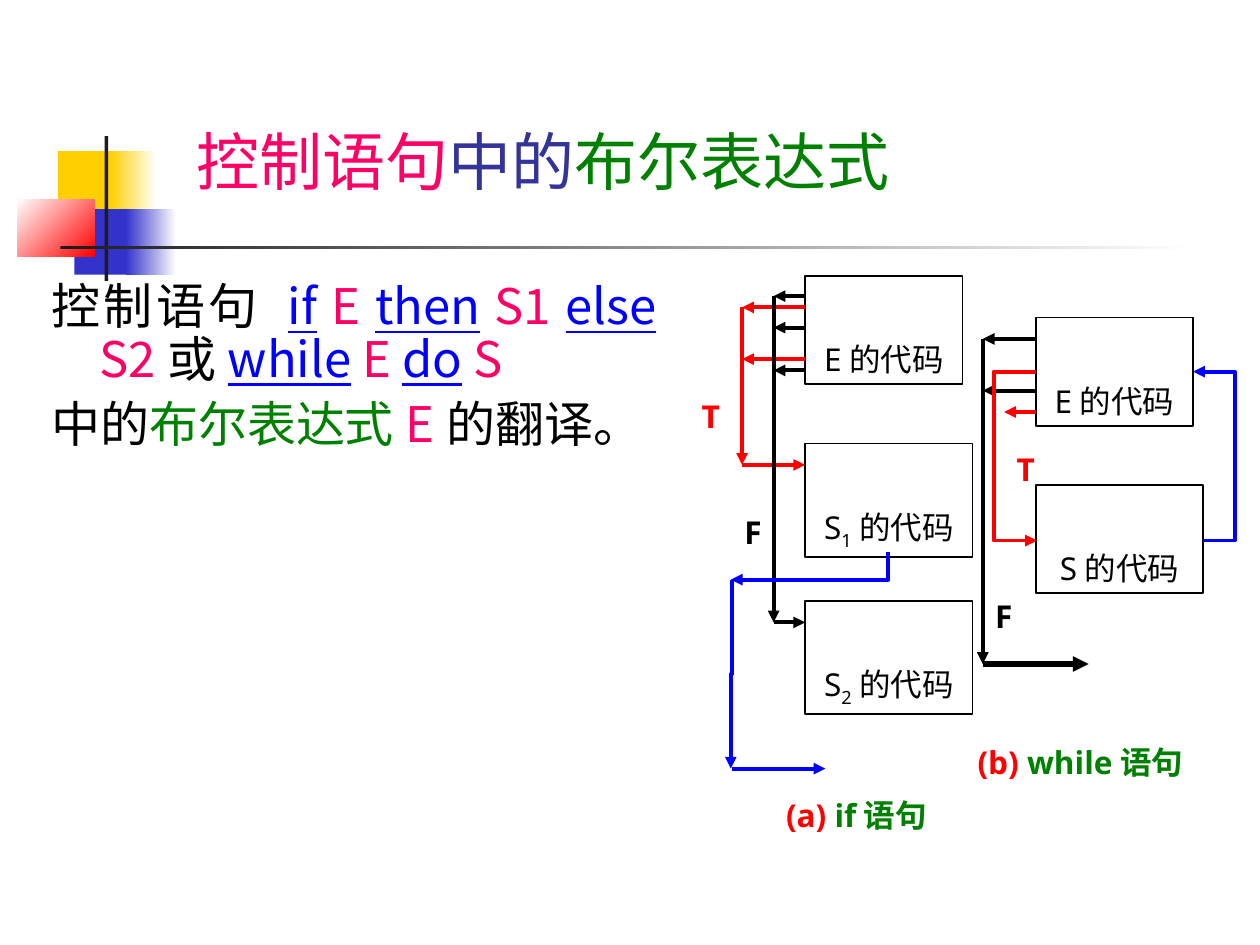
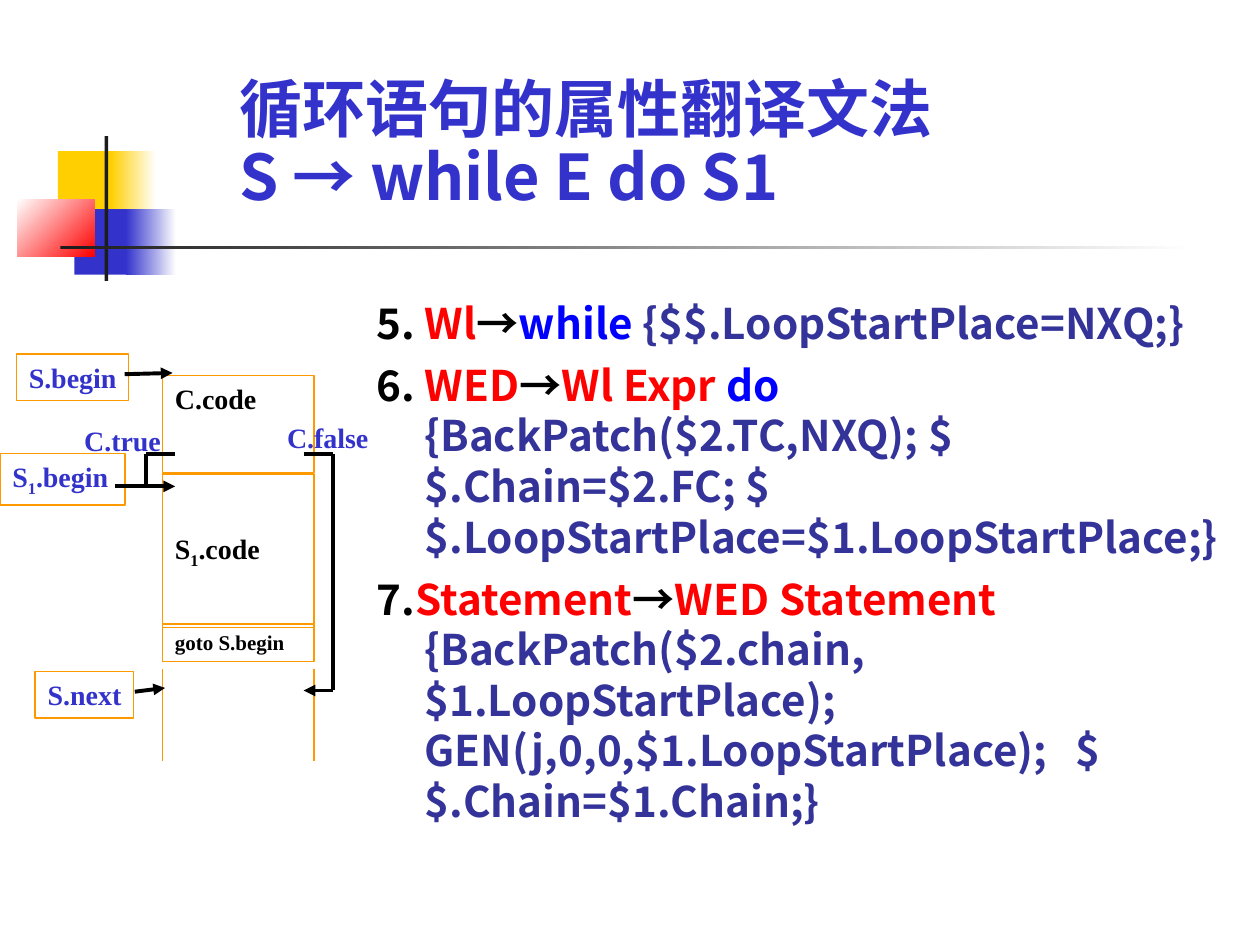
"""Build two slides on translating Boolean expressions and while loops."""
from dataclasses import dataclass

import pptx
import pptx.dml.color
import pptx.enum.shapes
import pptx.enum.text
import pptx.oxml.ns
import pptx.util
from lxml import etree

COLUMNS, ROWS = 10, 7.5
ALIGN = pptx.enum.text.PP_ALIGN
ANCHOR = pptx.enum.text.MSO_ANCHOR
CONNECTOR = pptx.enum.shapes.MSO_CONNECTOR
RECT = pptx.enum.shapes.MSO_SHAPE.RECTANGLE


@dataclass(frozen=True)
class Theme:
    black: str = "000000"
    white: str = "FFFFFF"
    ink: str = "1C1C1C"
    red: str = "FF0000"
    pink: str = "FF0066"
    green: str = "008000"
    blue: str = "0000FF"
    royal: str = "3333CC"
    navy: str = "333399"
    yellow: str = "FFCF01"
    orange: str = "FF9900"
    cjk: str = "Noto Sans CJK JP"
    sans: str = "Noto Sans"
    serif: str = "Times New Roman"
    hairline: float = 0.99
    stroke: float = 2.24
    heavy: float = 3


T = Theme()
STYLES = {
    "title": dict(font=T.cjk, size=36),
    "bold title": dict(font=T.cjk, size=36, bold=True, spacing=0.9),
    "body": dict(font=T.cjk, size=28, spacing=0.9, before=7, indent=0.38),
    "rules": dict(font=T.cjk, size=24.1, bold=True, spacing=1.0, before=6.5, indent=0.38),
    "code": dict(font=T.sans, size=18, align=ALIGN.CENTER),
    "label": dict(font=T.sans, size=18, bold=True),
    "attribute": dict(font=T.serif, size=16, bold=True),
    "small": dict(font=T.serif, size=12, bold=True),
}

BAND = [
    (0.46, 1.2, 0.48, 0.52, T.yellow, None, 0),
    (0.88, 1.2, 0.36, 0.52, T.yellow, T.white, 0),
    (0.59, 1.66, 0.46, 0.52, T.royal, None, 0),
    (1, 1.66, 0.4, 0.52, T.royal, T.white, 0),
    (0.14, 1.58, 0.61, 0.46, T.white, T.red, 315),
    (0.83, 1.08, 0.03, 1.15, T.ink, None, 0),
    (0.48, 1.95, 9, 0.03, T.ink, T.white, 0),
]

CONTROL_TITLE = [[("控制语句", T.pink), ("中的", T.navy), ("布尔表达式", T.green)]]
CONTROL_BODY = [
    [("控制语句 ", T.black), ("if", T.blue, "u"), (" ", T.black), ("E ", T.pink),
     ("then", T.blue, "u"), (" ", T.black), ("S1 ", T.pink), ("else", T.blue, "u"),
     (" ", T.black), ("S2", T.pink), ("或", T.black), ("while", T.blue, "u"),
     (" ", T.black), ("E ", T.pink), ("do", T.blue, "u"), (" ", T.black), ("S", T.pink)],
    [("中的", T.black), ("布尔表达式", T.green), ("E", T.pink), ("的翻译。", T.black)],
]
CODE_BOXES = [
    (6.39, 2.19, 1.25, 0.86, "E", ""),
    (6.39, 3.52, 1.33, 0.9, "S", "1"),
    (6.39, 4.77, 1.33, 0.9, "S", "2"),
    (8.22, 2.52, 1.25, 0.86, "E", ""),
    (8.22, 3.85, 1.33, 0.86, "S", ""),
]
JUMP_LABELS = [
    (5.47, 3.1, 0.33, [("T", T.red)]),
    (5.81, 4.02, 0.33, [("F", T.black)]),
    (7.97, 3.52, 0.33, [("T", T.red)]),
    (7.8, 4.69, 0.33, [("F", T.black)]),
    (6.14, 6.27, 1.41, [("(a) ", T.red), ("if语句", T.green)]),
    (7.66, 5.85, 1.98, [("(b) ", T.red), ("while语句", T.green)]),
]
JUMP_BUSES = [
    (T.red, 6.39, 5.89, [2.44, 2.85], 3.69, 6.39, T.stroke),
    (T.black, 6.39, 6.14, [2.35, 2.6, 2.94], 4.94, 6.39, T.stroke),
    (T.black, 8.22, 7.8, [2.69, 3.1], 5.27, 8.64, T.heavy),
]
SINGLE_JUMPS = [
    (T.blue, (5.81, 6.1), (6.55, 6.1)),
    (T.red, (8.22, 3.27), (7.97, 3.27)),
]
SIDE_ELBOWS = [
    (T.blue, (9.55, 4.29), (9.47, 2.95), 9.8),
    (T.red, (8.22, 2.95), (8.23, 4.29), 7.88),
]
DOWN_ELBOWS = [
    (T.blue, (7.05, 4.38), (5.8, 4.6), "bentConnector2"),
    (T.blue, (5.81, 4.6), (5.8, 6.1), "bentConnector3"),
]

LOOP_TITLE = [[("循环语句的属性翻译文法", T.royal), ("\v", T.royal),
               ("S → while E do S1 ", T.royal)]]
LOOP_RULES = [
    [("5. ", T.black), ("Wl", T.red), ("→", T.black), ("while ", T.blue),
     ("{$$.LoopStartPlace=NXQ;}", T.navy)],
    [("6. ", T.black), ("WED", T.red), ("→", T.black), ("Wl Expr ", T.red), ("do ", T.blue),
     ("{BackPatch($2.TC,NXQ); $$.Chain=$2.FC; $$.LoopStartPlace=$1.LoopStartPlace;}", T.navy)],
    [("7.", T.black), ("Statement", T.red), ("→", T.black), ("WED Statement ", T.red),
     ("{BackPatch($2.chain,$1.LoopStartPlace); GEN(j,0,0,$1.LoopStartPlace);   "
      "$$.Chain=$1.Chain;}", T.navy)],
]
LEFT, RIGHT, STUB = 1.29, 2.49, 0.1
LOOP_BLOCKS = [
    (2.98, 0.77, [("C.code", T.black)], "attribute", ANCHOR.TOP),
    (3.76, 1.22, [("S", T.black), ("1", T.black, "sub"), (".code", T.black)],
     "attribute", ANCHOR.MIDDLE),
    (4.95, 0.3, [("goto S.begin", T.black)], "small", ANCHOR.MIDDLE),
]
LOOP_LABELS = [
    (0.57, 3.31, 0.9, 0.37, [("C.true", T.royal)], None),
    (2.18, 3.29, 0.9, 0.37, [("C.false", T.royal)], None),
    (0, 3.6, 0.99, 0.41, [("S", T.royal), ("1", T.royal, "sub"), (".begin", T.royal)], T.orange),
    (0.28, 5.33, 0.78, 0.37, [("S.next", T.royal)], T.orange),
    (0.13, 2.81, 0.89, 0.37, [("S.begin", T.royal)], T.orange),
]
LOOP_LINES = [
    ((1.16, 3.6), (LEFT + STUB, 3.6), False),
    ((1.16, 3.6), (1.16, 3.86), False),
    ((0.91, 3.86), (LEFT + STUB, 3.86), True),
    ((2.41, 3.6), (2.64, 3.6), False),
    ((2.64, 3.6), (2.64, 5.48), False),
    ((2.64, 5.48), (2.41, 5.48), True),
    ((1.07, 5.49), (1.31, 5.46), True),
    ((0.99, 2.97), (1.37, 2.96), True),
]

prs = pptx.Presentation()
prs.slide_width, prs.slide_height = pptx.util.Inches(10), pptx.util.Inches(7.5)


def grid(x, y, w, h):
    dx, dy = prs.slide_width / COLUMNS, prs.slide_height / ROWS
    return [round(v) for v in (x * dx, y * dy, w * dx, h * dy)]


def rgb(value):
    return pptx.dml.color.RGBColor.from_string(value)


def sub(parent, tag, **attrs):
    return etree.SubElement(parent, pptx.oxml.ns.qn(tag), attrs)


def write(sp, paragraphs, style, anchor=ANCHOR.TOP, wrap=True):
    look = STYLES[style]
    tf = sp.text_frame
    tf.word_wrap, tf.vertical_anchor = wrap, anchor
    for i, runs in enumerate(paragraphs):
        p = tf.paragraphs[0] if i == 0 else tf.add_paragraph()
        p.alignment = look.get("align", ALIGN.LEFT)
        p.line_spacing = look.get("spacing")
        p.space_before = pptx.util.Pt(look.get("before", 0))
        p.font.name, p.font.size = look["font"], pptx.util.Pt(look["size"])
        p.font.bold = look.get("bold", False)
        pPr = p._p.get_or_add_pPr()
        east = look["font"] if look["font"] == T.serif else T.cjk
        sub(pPr.find(pptx.oxml.ns.qn("a:defRPr")), "a:ea", typeface=east)
        if "indent" in look:
            hang = pptx.util.Inches(look["indent"])
            pPr.set("marL", str(hang))
            pPr.set("indent", str(-hang))
        for text, color, *marks in runs:
            if text == "\v":
                p.add_line_break()
                continue
            r = p.add_run()
            r.text = text
            r.font.color.rgb = rgb(color)
            if "u" in marks:
                r.font.underline = True
            if "sub" in marks:
                r.font._element.set("baseline", "-25000")
    return tf


def text_box(s, at, paragraphs, style, **options):
    return write(s.shapes.add_textbox(*grid(*at)), paragraphs, style, **options)


def box(s, at, line=None):
    sp = s.shapes.add_shape(RECT, *grid(*at))
    sp.shadow.inherit = False
    sp.fill.background()
    if line:
        sp.line.color.rgb = rgb(line)
        sp.line.width = pptx.util.Pt(T.hairline)
    else:
        sp.line.fill.background()
    return sp


def connect(s, begin, end, color, width=T.stroke, arrow=True, kind=CONNECTOR.STRAIGHT):
    c = s.shapes.add_connector(kind, *grid(*begin, *end))
    c.line.color.rgb = rgb(color)
    c.line.width = pptx.util.Pt(width)
    if arrow:
        sub(c.line._get_or_add_ln(), "a:tailEnd", type="triangle")
    sub(c._element.spPr, "a:effectLst")
    return c


def side_elbow(s, color, begin, end, via_x):
    c = connect(s, begin, end, color, kind=CONNECTOR.ELBOW)
    share = (via_x - begin[0]) / (end[0] - begin[0])
    guides = c._element.spPr.prstGeom.get_or_add_avLst()
    sub(guides, "a:gd", name="adj1", fmla=f"val {round(share * 100000)}")


def down_elbow(s, color, begin, end, preset):
    (x1, y1), (x2, y2) = begin, end
    mid_x, mid_y, half_w, half_h = (x1 + x2) / 2, (y1 + y2) / 2, (y2 - y1) / 2, (x1 - x2) / 2
    c = connect(s, (mid_x - half_w, mid_y - half_h), (mid_x + half_w, mid_y + half_h),
                color, kind=CONNECTOR.ELBOW)
    c._element.spPr.xfrm.set("rot", str(90 * 60000))
    c._element.spPr.prstGeom.set("prst", preset)


def new_slide(title, at, style):
    s = prs.slides.add_slide(prs.slide_layouts[6])
    for *place, start, stop, angle in BAND:
        fill = box(s, place).fill
        if stop is None:
            fill.solid()
            fill.fore_color.rgb = rgb(start)
        else:
            fill.gradient()
            fill.gradient_angle = angle
            for gs, color, position in zip(fill.gradient_stops, (start, stop), (0, 1)):
                gs.color.rgb, gs.position = rgb(color), position
    text_box(s, at, title, style, anchor=ANCHOR.BOTTOM)
    return s


def control_slide():
    s = new_slide(CONTROL_TITLE, (1.46, 0.68, 8.52, 0.94), "title")
    tf = text_box(s, (0.31, 2.19, 5, 4.53), CONTROL_BODY, "body")
    tf.paragraphs[0].alignment = ALIGN.JUSTIFY
    for *at, name, index in CODE_BOXES:
        runs = [(name, T.black), (index, T.black, "sub"), ("的代码", T.black)]
        write(box(s, at, T.black), [[run for run in runs if run[0]]], "code", ANCHOR.BOTTOM)
    for color, start, bus, exits, target, end, width in JUMP_BUSES:
        for y in exits:
            connect(s, (start, y), (bus, y), color)
        connect(s, (bus, exits[0]), (bus, target), color)
        connect(s, (bus, target), (end, target), color, width)
    for color, begin, end in SINGLE_JUMPS:
        connect(s, begin, end, color)
    for elbow in SIDE_ELBOWS:
        side_elbow(s, *elbow)
    for elbow in DOWN_ELBOWS:
        down_elbow(s, *elbow)
    for x, y, w, runs in JUMP_LABELS:
        text_box(s, (x, y, w, 0.4), [runs], "label")


def loop_slide():
    s = new_slide(LOOP_TITLE, (1.8, 0.83, 7.34, 0.92), "bold title")
    text_box(s, (2.89, 2.31, 7.11, 4.64), LOOP_RULES, "rules")
    for y, h, runs, style, anchor in LOOP_BLOCKS:
        write(box(s, (LEFT, y, RIGHT - LEFT, h), T.orange), [runs], style, anchor)
    for x in (LEFT, RIGHT):
        connect(s, (x, 5.31), (x, 6.04), T.orange, T.hairline, arrow=False)
    for *at, runs, line in LOOP_LABELS:
        if line:
            write(box(s, at, line), [runs], "attribute", wrap=False)
        else:
            text_box(s, at, [runs], "attribute")
    for begin, end, arrow in LOOP_LINES:
        connect(s, begin, end, T.black, arrow=arrow)


control_slide()
loop_slide()
prs.save("out.pptx")
